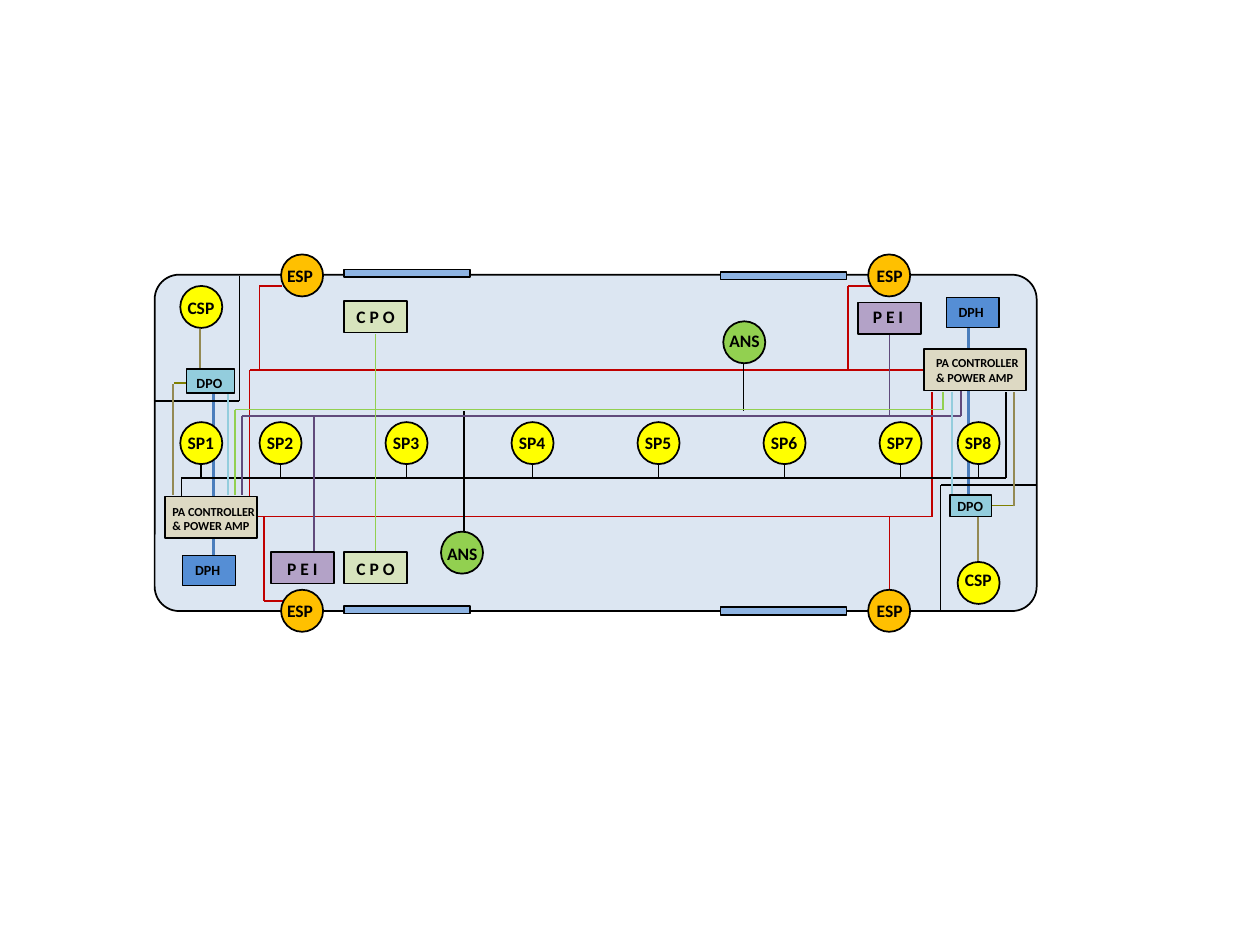
from dataclasses import dataclass
from itertools import pairwise

from lxml import etree
from pptx import Presentation
from pptx.dml.color import RGBColor
from pptx.enum.shapes import MSO_CONNECTOR, MSO_SHAPE
from pptx.enum.text import MSO_ANCHOR, PP_ALIGN
from pptx.oxml.ns import qn
from pptx.util import Pt

STRAIGHT = MSO_CONNECTOR.STRAIGHT
RECTANGLE = MSO_SHAPE.RECTANGLE
ROUNDED = MSO_SHAPE.ROUNDED_RECTANGLE
OVAL = MSO_SHAPE.OVAL
TOP = MSO_ANCHOR.TOP
LEFT = PP_ALIGN.LEFT

BLACK, RED, GREEN, PURPLE = "000000", "C00000", "92D050", "604A7B"
BLUE, CYAN, OLIVE, KHAKI = "4B7EBC", "93CDDD", "808000", "948A54"


@dataclass(frozen=True)
class Style:
    outline: int
    width: float
    height: float
    fill: str
    label_width: float = 0
    label_height: float = 19.4
    size: float = 10
    line_width: float = 1


@dataclass(frozen=True)
class Device:
    style: Style
    left: float
    top: float
    label: str = ""
    label_dx: float = 0
    label_dy: float = 0


@dataclass(frozen=True)
class Wire:
    colour: str
    points: tuple
    width: float = 1


DOOR = Style(RECTANGLE, 72, 4.3, "8EB4E3")
SPEAKER = Style(OVAL, 24, 24, "FFFF00", 30.2)
EXTERIOR_SPEAKER = Style(OVAL, 24, 24, "FFC000", 30.2)
NOISE_SENSOR = Style(OVAL, 24, 24, GREEN, 36)
INTERCOM = Style(RECTANGLE, 36, 18, "B3A2C7", 36)
CPO_UNIT = Style(RECTANGLE, 36, 18, "D7E4BD", 41.8)
DPO_LEFT = Style(RECTANGLE, 27.4, 13.7, CYAN, 30.2, 17.3, 8)
DPO_RIGHT = Style(RECTANGLE, 23.8, 12.2, CYAN, 30.2, 17.3, 8)
CONTROLLER_LEFT = Style(RECTANGLE, 52.6, 23.8, "DDD9C3", 64.1, 24.5, 7)
CONTROLLER_RIGHT = Style(RECTANGLE, 58.3, 23.8, "DDD9C3", 64.8, 24.5, 7)
HANDSET = Style(RECTANGLE, 30.2, 17.3, "558ED5", 30.2, 17.3, 8, 0.75)

CONTROLLER_LABEL = "PA CONTROLLER\n& POWER AMP"
SPEAKER_LEFTS = (103, 148.3, 220.3, 292.3, 364.3, 436.3, 502.6, 547.2)

WIRES = [
    Wire(BLUE, ((553.3, 282.2), (553.3, 182.9)), 1.5),
    Wire(BLUE, ((121.9, 317.5), (121.9, 218.2)), 1.5),
    Wire(OLIVE, ((555.8, 288.7), (578.9, 288.7)), 0.75),
    Wire(OLIVE, ((99.4, 218.9), (113, 218.9)), 0.75),
    # Cabin walls
    Wire(BLACK, ((88, 229.3), (136.8, 229.3), (136.8, 157.5))),
    Wire(BLACK, ((592, 277.2), (537.5, 277.2), (537.5, 349.2))),
    # Exterior speaker circuit
    Wire(RED, ((527.8, 211.3), (142.6, 211.3), (142.6, 283.7))),
    Wire(RED, ((146.9, 295.2), (532.5, 295.2), (532.5, 223.9))),
    Wire(RED, ((148.3, 211.3), (148.3, 163.4), (161.3, 163.4))),
    Wire(RED, ((484.6, 211.3), (484.6, 163.4), (498.2, 163.4))),
    Wire(RED, ((508.3, 295.2), (508.3, 337.7))),
    Wire(RED, ((151, 295.2), (151, 343.4), (162, 343.4))),
    # Saloon speaker circuit
    Wire(BLACK, ((103.7, 283.7), (103.7, 273), (574.9, 273), (574.9, 223.9))),
    *(Wire(BLACK, ((left + 12, 273), (left + 12, 265))) for left in SPEAKER_LEFTS),
    Wire(BLACK, ((265.3, 306.7), (265.3, 234.7))),
    Wire(BLACK, ((424.8, 234.7), (424.8, 207.4))),
    # Intercom circuit
    Wire(PURPLE, ((138.2, 283), (138.2, 237.6), (549, 237.6), (549, 223.2))),
    Wire(PURPLE, ((179.3, 315.4), (179.3, 238.3))),
    Wire(PURPLE, ((508.3, 237.6), (508.3, 191.5))),
    # CPO circuit
    Wire(GREEN, ((134.3, 283), (134.3, 234), (539, 234), (539, 223.9))),
    Wire(GREEN, ((214.6, 315.4), (214.6, 190.8))),
    # Cabin circuits
    Wire(CYAN, ((130.3, 283), (130.3, 225.4))),
    Wire(CYAN, ((544, 283), (544, 223.9))),
    Wire(KHAKI, ((99, 283), (99, 219.6))),
    Wire(KHAKI, ((114.5, 211), (114.5, 188))),
    Wire(KHAKI, ((558.7, 321), (558.7, 294.5))),
    Wire(KHAKI, ((579.6, 289.4), (579.6, 223.9))),
]

DEVICES = [
    Device(DOOR, 196.6, 154.1),
    Device(DOOR, 196.6, 346.3),
    Device(DOOR, 411.8, 155.5),
    Device(DOOR, 411.8, 347),
    *(Device(SPEAKER, left, 241.2, f"SP{number}", -2.9, 2.2)
      for number, left in enumerate(SPEAKER_LEFTS, start=1)),
    Device(SPEAKER, 103, 163.4, "CSP", -2.9, 2.9),
    Device(SPEAKER, 547.2, 321.1, "CSP", -2.9, 0.7),
    *(Device(EXTERIOR_SPEAKER, left, top, "ESP", label_dx, 2.5)
      for left, label_dx in ((160.6, -3.6), (496.1, -2.2))
      for top in (145.4, 337)),
    Device(INTERCOM, 154.8, 315.4, "P E I", 2.2),
    Device(INTERCOM, 490.3, 172.8, "P E I", 1.4, -1.4),
    Device(CPO_UNIT, 196.6, 172.1, "C P O", 0, -0.7),
    Device(CPO_UNIT, 196.6, 315.4, "C P O"),
    Device(NOISE_SENSOR, 252, 303.8, "ANS", -3.6, 2.9),
    Device(NOISE_SENSOR, 413.3, 183.6, "ANS", -3.6, 1.4),
    Device(DPO_LEFT, 106.6, 211, "DPO", -1.4, -0.7),
    Device(DPO_RIGHT, 542.9, 283, "DPO", -2.9, -2.2),
    Device(CONTROLLER_LEFT, 94.3, 283.7, CONTROLLER_LABEL, -2.9, 0.7),
    Device(CONTROLLER_RIGHT, 527.8, 199.4, CONTROLLER_LABEL),
    Device(HANDSET, 104.4, 317.5, "DPH"),
    Device(HANDSET, 540.7, 169.9, "DPH"),
]


def colour(value: str) -> RGBColor:
    return RGBColor.from_string(value)


def draw_wire(slide, wire: Wire) -> None:
    for start, end in pairwise(wire.points):
        connector = slide.shapes.add_connector(
            STRAIGHT, *(Pt(length) for length in (*start, *end)))
        connector.line.color.rgb = colour(wire.colour)
        connector.line.width = Pt(wire.width)
        etree.SubElement(connector._element.spPr, qn("a:effectLst"))


def draw_outline(slide, style: Style, left: float, top: float):
    shape = slide.shapes.add_shape(
        style.outline, Pt(left), Pt(top), Pt(style.width), Pt(style.height))
    shape.shadow.inherit = False
    shape.fill.solid()
    shape.fill.fore_color.rgb = colour(style.fill)
    shape.line.color.rgb = colour(BLACK)
    shape.line.width = Pt(style.line_width)
    return shape


def write_label(shape, text: str, size: float) -> None:
    frame = shape.text_frame
    frame.word_wrap = True
    frame.vertical_anchor = TOP
    frame.margin_left, frame.margin_right = Pt(7.2), Pt(0)
    frame.margin_top = frame.margin_bottom = Pt(3.6)
    for index, line in enumerate(text.split("\n")):
        paragraph = frame.add_paragraph() if index else frame.paragraphs[0]
        paragraph.alignment = LEFT
        run = paragraph.add_run()
        run.text = line
        run.font.name = "Calibri"
        run.font.size = Pt(size)
        run.font.bold = True
        run.font.color.rgb = colour(BLACK)


def draw_device(slide, device: Device) -> None:
    """Draw the outline and its label; a handset holds its own label."""
    style = device.style
    holder = draw_outline(slide, style, device.left, device.top)
    if not device.label:
        return
    if style is not HANDSET:
        holder = slide.shapes.add_textbox(
            Pt(device.left + device.label_dx), Pt(device.top + device.label_dy),
            Pt(style.label_width), Pt(style.label_height))
    write_label(holder, device.label, style.size)


def main() -> None:
    presentation = Presentation()
    presentation.slide_width, presentation.slide_height = Pt(720), Pt(540)
    slide = presentation.slides.add_slide(presentation.slide_layouts[6])
    car_body = draw_outline(slide, Style(ROUNDED, 504, 192.2, "DCE6F2"), 88.4, 157)
    car_body.adjustments[0] = 0.073
    for wire in WIRES:
        draw_wire(slide, wire)
    for device in DEVICES:
        draw_device(slide, device)
    presentation.save("out.pptx")


if __name__ == "__main__":
    main()
